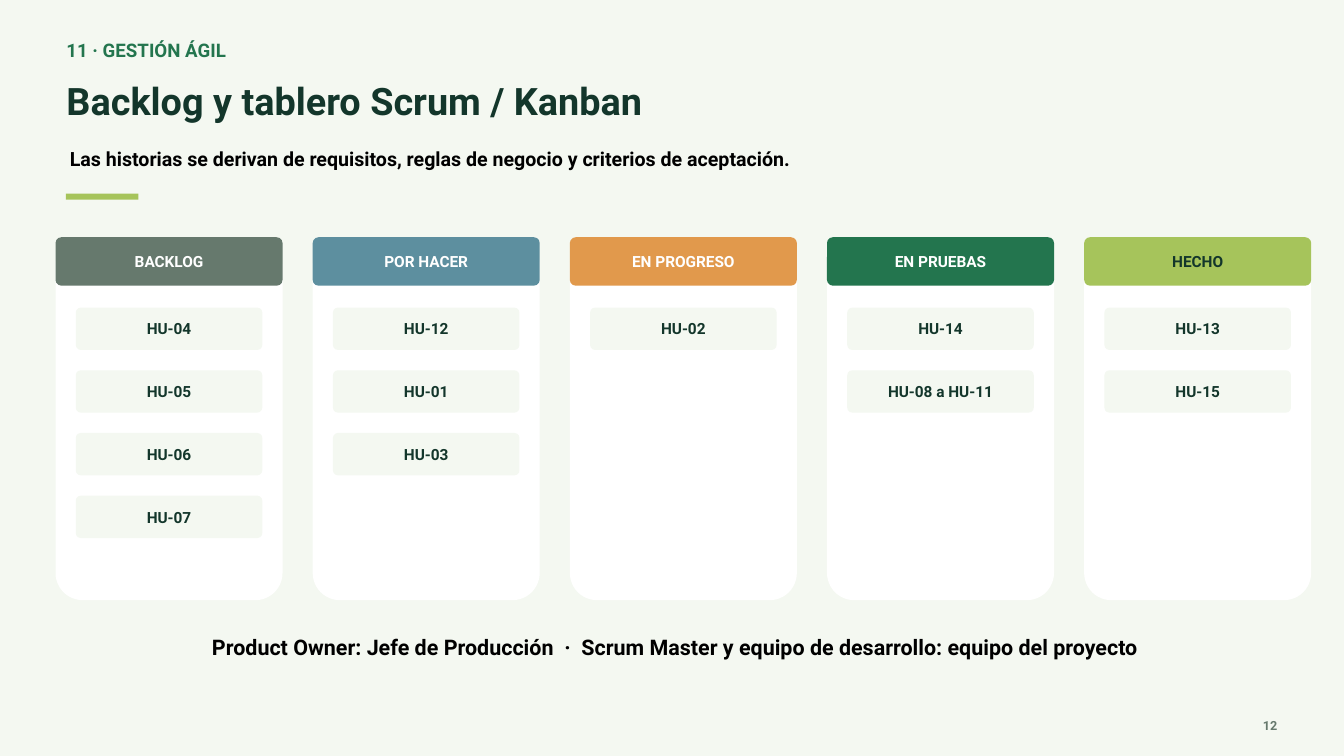
from dataclasses import dataclass

from pptx import Presentation
from pptx.dml.color import RGBColor
from pptx.enum.shapes import MSO_SHAPE as Shape
from pptx.enum.text import MSO_ANCHOR as Anchor, MSO_AUTO_SIZE as AutoSize, PP_ALIGN as Align
from pptx.util import Cm, Pt


@dataclass(frozen=True)
class Theme:
    """Colours, font and type sizes of the slide."""
    font: str = "Roboto"
    paper: str = "F4F8F1"
    white: str = "FFFFFF"
    black: str = "000000"
    ink: str = "13362B"
    green: str = "23754E"
    lime: str = "A6C45B"
    gray: str = "66796D"
    blue: str = "5D8F9F"
    orange: str = "E1994C"
    title: float = 40.5
    closing: float = 23
    subtitle: float = 21
    section: float = 20
    label: float = 16.5
    number: float = 13.5


T = Theme()
COLUMNS = [
    ("BACKLOG", T.gray, T.white, ["HU-04", "HU-05", "HU-06", "HU-07"]),
    ("POR HACER", T.blue, T.white, ["HU-12", "HU-01", "HU-03"]),
    ("EN PROGRESO", T.orange, T.white, ["HU-02"]),
    ("EN PRUEBAS", T.green, T.white, ["HU-14", "HU-08 a HU-11"]),
    ("HECHO", T.lime, T.ink, ["HU-13", "HU-15"]),
]
COLUMN_LEFT, COLUMN_TOP, COLUMN_PITCH = 2.1, 8.97, 9.72
COLUMN_W, COLUMN_H, HEADER_H = 8.58, 13.72, 1.83
CARD_TOP, CARD_PITCH, CARD_W, CARD_H = 11.63, 2.37, 7.05, 1.6


def set_attrs(obj, values):
    """Set each named attribute of an object."""
    for name, value in values.items():
        setattr(obj, name, value)


def write(sp, text, size, color, align=Align.LEFT, anchor=Anchor.TOP):
    """Write one bold line without margins into a shape."""
    tf = sp.text_frame
    set_attrs(tf, dict(margin_left=0, margin_right=0, margin_top=0, margin_bottom=0,
                       word_wrap=True, auto_size=AutoSize.NONE, vertical_anchor=anchor))
    p = tf.paragraphs[0]
    set_attrs(p, dict(alignment=align, line_spacing=Pt(size * 1.2), space_before=Pt(0)))
    r = p.add_run()
    r.text = text
    set_attrs(r.font, dict(name=T.font, size=Pt(size), bold=True))
    r.font.color.rgb = RGBColor.from_string(color)


def add_text(s, box, *text_format):
    """Add a text box with one line."""
    write(s.shapes.add_textbox(*map(Cm, box)), *text_format)


def add_title(s, box, *text_format):
    """Place and fill the title placeholder."""
    sp = s.shapes.title
    set_attrs(sp, dict(zip(("left", "top", "width", "height"), map(Cm, box))))
    write(sp, *text_format)


def add_block(s, box, fill, radius=0):
    """Add a filled rectangle, rounded when a radius is given."""
    kind = Shape.ROUNDED_RECTANGLE if radius else Shape.RECTANGLE
    sp = s.shapes.add_shape(kind, *map(Cm, box))
    if radius:
        sp.adjustments[0] = radius / min(box[2:])
    sp.shadow.inherit = False
    sp.fill.solid()
    sp.fill.fore_color.rgb = RGBColor.from_string(fill)
    sp.line.fill.background()
    return sp


def add_label(s, box, fill, radius, text, color):
    """Add a rounded block with a centred label."""
    write(add_block(s, box, fill, radius), text, T.label, color, Align.CENTER, Anchor.MIDDLE)


def add_column(s, left, name, fill, color, stories):
    """Add a board column with its header and story cards."""
    add_block(s, (left, COLUMN_TOP, COLUMN_W, COLUMN_H), T.white, 1.03)
    add_label(s, (left, COLUMN_TOP, COLUMN_W, HEADER_H), fill, 0.22, name, color)
    card_left = left + (COLUMN_W - CARD_W) / 2
    for i, story in enumerate(stories):
        box = (card_left, CARD_TOP + i * CARD_PITCH, CARD_W, CARD_H)
        add_label(s, box, T.paper, 0.19, story, T.ink)


def main():
    """Build the board slide and save it."""
    prs = Presentation()
    set_attrs(prs, dict(slide_width=Cm(50.8), slide_height=Cm(28.58)))
    s = prs.slides.add_slide(prs.slide_layouts[5])
    s.background.fill.solid()
    s.background.fill.fore_color.rgb = RGBColor.from_string(T.paper)

    add_text(s, (2.51, 1.45, 44.68, 0.86), "11 · GESTIÓN ÁGIL", T.section, T.green)
    add_title(s, (2.51, 2.92, 45.44, 2.03), "Backlog y tablero Scrum / Kanban", T.title, T.ink)
    add_text(s, (2.64, 5.54, 45.06, 0.89),
             "Las historias se derivan de requisitos, reglas de negocio y criterios de aceptación.",
             T.subtitle, T.black)
    add_block(s, (2.49, 7.32, 2.74, 0.23), T.lime)
    add_text(s, (46.86, 27.13, 1.42, 0.48), "12", T.number, T.gray, Align.RIGHT)
    for i, column in enumerate(COLUMNS):
        add_column(s, COLUMN_LEFT + i * COLUMN_PITCH, *column)
    add_text(s, (3.2, 23.98, 44.68, 0.94),
             "Product Owner: Jefe de Producción  ·  Scrum Master y equipo de desarrollo: equipo del proyecto",
             T.closing, T.black, Align.CENTER)
    prs.save("out.pptx")


if __name__ == "__main__":
    main()
